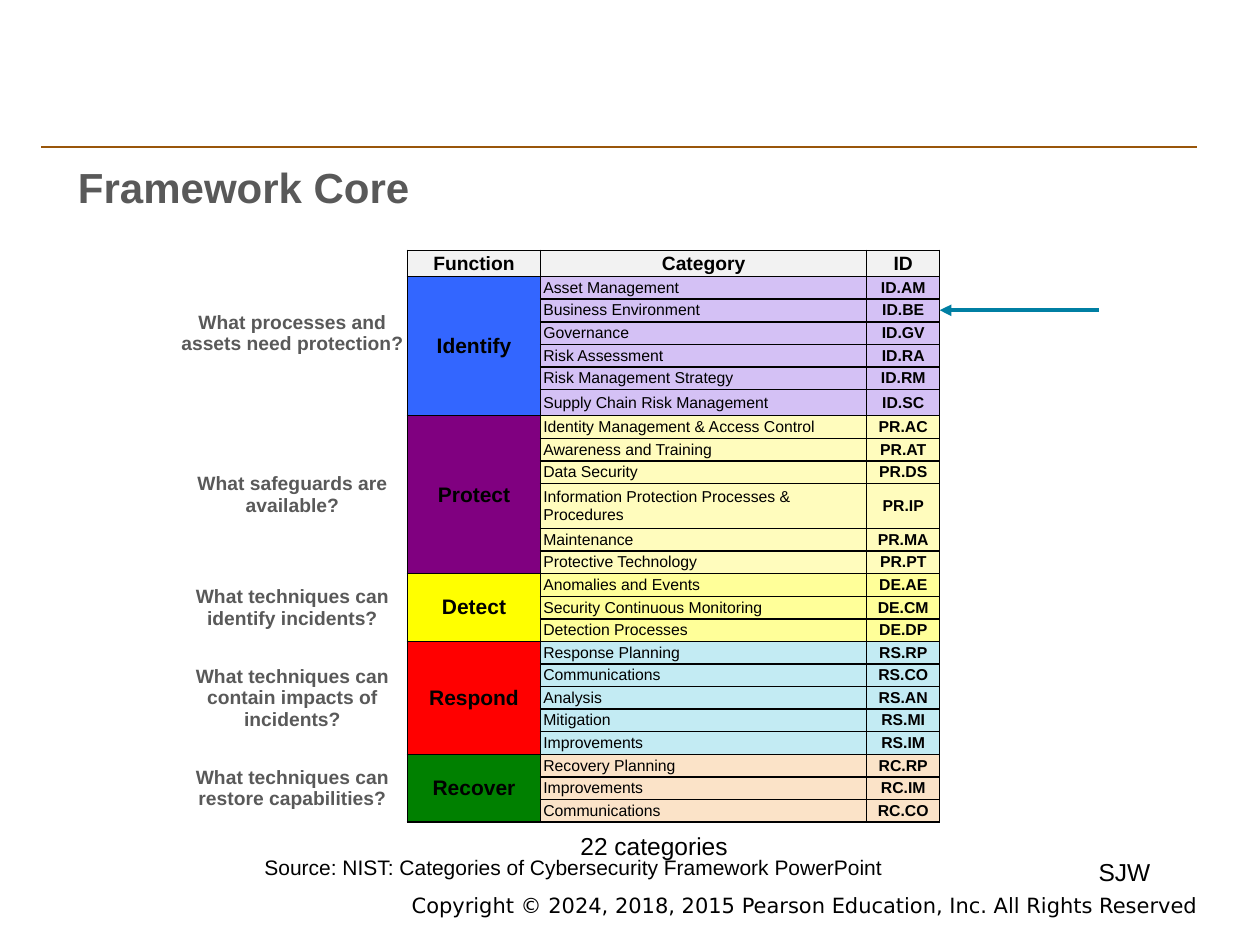
from lxml.etree import SubElement
from pptx import Presentation
from pptx.dml.color import RGBColor
from pptx.enum.shapes import MSO_CONNECTOR
from pptx.enum.text import MSO_ANCHOR, PP_ALIGN
from pptx.oxml.ns import qn
from pptx.util import Pt

PX = 3810
BLACK, GRAY, HEADER_FILL = "000000", "595959", "F2F2F2"


def color(value):
    return RGBColor.from_string(value)


def write(frame, text, size, value=BLACK, bold=False, align=PP_ALIGN.LEFT, font="Arial"):
    para = frame.paragraphs[0]
    para.add_run().text = text
    para.alignment = align
    para.font.name = font
    para.font.size = Pt(size)
    para.font.bold = bold
    para.font.color.rgb = color(value)
    return para


deck = Presentation()
deck.slide_width, deck.slide_height = 2400 * PX, 1800 * PX
page = deck.slides.add_slide(deck.slide_layouts[6])

groups = [
    ("Identify", "3366FF", "D4C1F5", "ID", "What processes and assets need protection?", 5, [
        ("Asset Management", "AM"),
        ("Business Environment", "BE"),
        ("Governance", "GV"),
        ("Risk Assessment", "RA"),
        ("Risk Management Strategy", "RM"),
        ("Supply Chain Risk Management", "SC"),
    ]),
    ("Protect", "800080", "FFFCBD", "PR", "What safeguards are available?", 6, [
        ("Identity Management & Access Control", "AC"),
        ("Awareness and Training", "AT"),
        ("Data Security", "DS"),
        ("Information Protection Processes & Procedures", "IP"),
        ("Maintenance", "MA"),
        ("Protective Technology", "PT"),
    ]),
    ("Detect", "FFFF00", "FFFF99", "DE", "What techniques can identify incidents?", 3, [
        ("Anomalies and Events", "AE"),
        ("Security Continuous Monitoring", "CM"),
        ("Detection Processes", "DP"),
    ]),
    ("Respond", "FF0000", "C3EBF3", "RS", "What techniques can contain impacts of incidents?", 5, [
        ("Response Planning", "RP"),
        ("Communications", "CO"),
        ("Analysis", "AN"),
        ("Mitigation", "MI"),
        ("Improvements", "IM"),
    ]),
    ("Recover", "008000", "FBE3C8", "RC", "What techniques can restore capabilities?", 3, [
        ("Recovery Planning", "RP"),
        ("Improvements", "IM"),
        ("Communications", "CO"),
    ]),
]

row_heights = [43] * 24
row_heights[0] = row_heights[6] = 50
row_heights[10] = 86
column_widths = [438, 254, 621, 139]
table = page.shapes.add_table(
    len(row_heights), len(column_widths), 338 * PX, 477 * PX,
    sum(column_widths) * PX, sum(row_heights) * PX).table
table.first_row = table.horz_banding = False
for row, height in zip(table.rows, row_heights):
    row.height = height * PX
for column, width in zip(table.columns, column_widths):
    column.width = width * PX

for row in table.rows:
    for index, cell in enumerate(row.cells):
        cell.vertical_anchor = MSO_ANCHOR.MIDDLE
        cell.margin_left = cell.margin_right = 5 * PX
        cell.margin_top = cell.margin_bottom = 0
        properties = cell._tc.get_or_add_tcPr()
        for side in ("lnL", "lnR", "lnT", "lnB"):
            border = SubElement(properties, qn(f"a:{side}"), w=str(Pt(1)))
            if index == 0 and side != "lnR":
                SubElement(border, qn("a:noFill"))
            else:
                fill = SubElement(border, qn("a:solidFill"))
                SubElement(fill, qn("a:srgbClr"), val=BLACK)
        cell.fill.background()

for index, heading in enumerate(("Function", "Category", "ID"), 1):
    cell = table.cell(0, index)
    cell.fill.solid()
    cell.fill.fore_color.rgb = color(HEADER_FILL)
    write(cell.text_frame, heading, 11, bold=True, align=PP_ALIGN.CENTER).space_after = Pt(6)

top = 1
for function, strong, tint, prefix, question, question_rows, categories in groups:
    question_cell, function_cell = table.cell(top, 0), table.cell(top, 1)
    question_cell.merge(table.cell(top + question_rows - 1, 0))
    function_cell.merge(table.cell(top + len(categories) - 1, 1))
    function_cell.fill.solid()
    function_cell.fill.fore_color.rgb = color(strong)
    for cell, text, size, value in ((question_cell, question, 11, GRAY),
                                    (function_cell, function, 12, BLACK)):
        write(cell.text_frame, text, size, value, True, PP_ALIGN.CENTER).space_after = Pt(6)
    for row, (category, code) in enumerate(categories, top):
        for index, text, bold, align in ((2, category, False, PP_ALIGN.LEFT),
                                         (3, f"{prefix}.{code}", True, PP_ALIGN.CENTER)):
            cell = table.cell(row, index)
            cell.fill.solid()
            cell.fill.fore_color.rgb = color(tint)
            write(cell.text_frame, text, 9, bold=bold, align=align).space_after = Pt(3)
    top += len(categories)

for cell in table.iter_cells():
    if not cell.text_frame.text:
        SubElement(cell.text_frame.paragraphs[0]._p, qn("a:endParaRPr"), sz="900")

title = page.shapes.add_textbox(125 * PX, 343 * PX, 1666 * PX, 149 * PX).text_frame
title.word_wrap = True
title.vertical_anchor = MSO_ANCHOR.BOTTOM
title.margin_bottom = 89 * PX
write(title, "Framework Core", 24, GRAY, True).line_spacing = Pt(19.5)

for text, size, left, top, width, height in (
        ("22 categories", 14, 1082, 1572, 425, 96),
        ("Source: NIST: Categories of Cybersecurity Framework PowerPoint", 12, 480, 1615, 1253, 72),
        ("SJW", 14, 2069, 1620, 175, 96)):
    box = page.shapes.add_textbox(left * PX, top * PX, width * PX, height * PX)
    box.text_frame.word_wrap = False
    write(box.text_frame, text, size)

footer = page.shapes.add_textbox(552 * PX, 1694 * PX, 1730 * PX, 58 * PX).text_frame
footer.word_wrap = True
footer.vertical_anchor = MSO_ANCHOR.MIDDLE
footer.margin_left = footer.margin_right = 0
footer.margin_top = footer.margin_bottom = 5 * PX
write(footer, "Copyright © 2024, 2018, 2015 Pearson Education, Inc. All Rights Reserved", 12,
      align=PP_ALIGN.RIGHT, font="DejaVu Sans")

for start, end, level, value, weight, arrow in (
        (79, 2280, 280, "99560A", 0.75, False),
        (2093, 1790, 591, "007FA3", 2.25, True)):
    line = page.shapes.add_connector(
        MSO_CONNECTOR.STRAIGHT, start * PX, level * PX, end * PX, level * PX)
    line.line.color.rgb = color(value)
    line.line.width = Pt(weight)
    properties = line.element.spPr
    if arrow:
        SubElement(properties.find(qn("a:ln")), qn("a:tailEnd"), type="triangle")
    SubElement(properties, qn("a:effectLst"))

deck.save("out.pptx")
